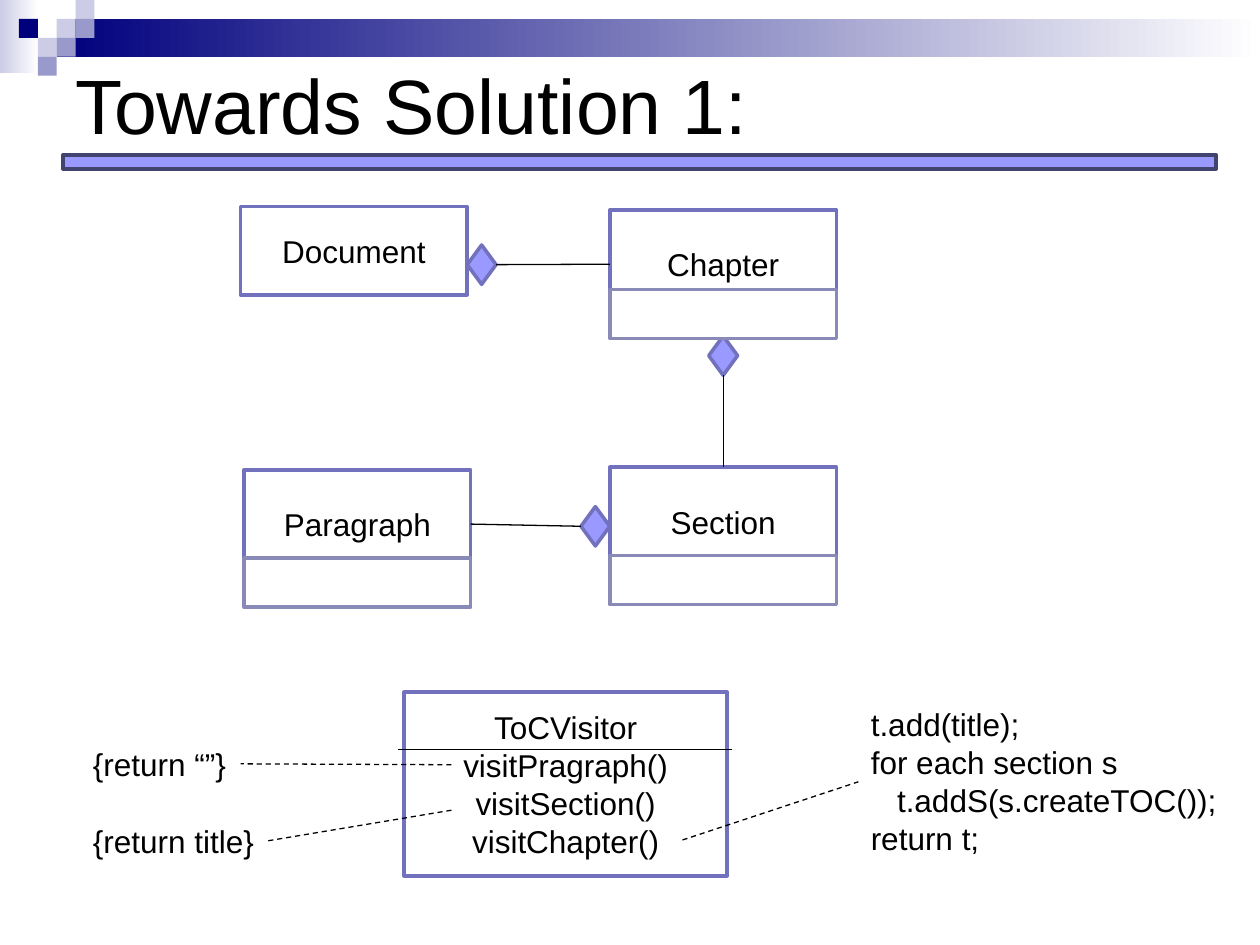
from dataclasses import dataclass

from lxml.etree import SubElement
from pptx import Presentation
from pptx.dml.color import RGBColor
from pptx.enum.dml import MSO_LINE
from pptx.enum.shapes import MSO_CONNECTOR, MSO_SHAPE
from pptx.enum.text import MSO_ANCHOR, MSO_AUTO_SIZE, PP_ALIGN
from pptx.oxml.ns import qn
from pptx.util import Pt

TOP, LEFT, BOTTOM, RIGHT = range(4)


@dataclass(frozen=True)
class Theme:
    font: str = "Arial"
    title_size: float = 44
    text_size: float = 18
    border: float = 2
    thin: float = 0.75
    text: str = "000000"
    white: str = "FFFFFF"
    navy: str = "00007D"
    pale: str = "CCCCE6"
    mid: str = "9999CC"
    accent: str = "9999FF"
    bar_line: str = "434370"
    box_line: str = "7171BD"
    part_line: str = "8A8AB9"


class Deck:
    """Holds the theme and the current slide; lengths are in points."""

    def __init__(self, prs, theme):
        self.theme = theme
        self.slide = prs.slides.add_slide(prs.slide_layouts[5])

    def set_text(self, tf, text, size, align=PP_ALIGN.LEFT):
        tf.text = text
        for p in tf.paragraphs:
            p.alignment = align
            for r in p.runs:
                r.font.name = self.theme.font
                r.font.size = Pt(size)
                r.font.color.rgb = RGBColor.from_string(self.theme.text)

    def title(self, text, x, y, w, h):
        sp = self.slide.shapes.title
        sp.left, sp.top, sp.width, sp.height = map(Pt, (x, y, w, h))
        tf = sp.text_frame
        tf.auto_size = MSO_AUTO_SIZE.NONE
        tf.vertical_anchor = MSO_ANCHOR.MIDDLE
        self.set_text(tf, text, self.theme.title_size)

    def shape(self, x, y, w, h, fill=None, line=None, kind=MSO_SHAPE.RECTANGLE):
        sp = self.slide.shapes.add_shape(kind, *map(Pt, (x, y, w, h)))
        sp.shadow.inherit = False
        if fill:
            sp.fill.solid()
            sp.fill.fore_color.rgb = RGBColor.from_string(fill)
        else:
            sp.fill.background()
        if line:
            sp.line.color.rgb = RGBColor.from_string(line)
            sp.line.width = Pt(self.theme.border)
        else:
            sp.line.fill.background()
        return sp

    def fade(self, x, y, w, h, color):
        """Draw a band that fades to white on its right."""
        sp = self.shape(x, y, w, h)
        sp.fill.gradient()
        sp.fill.gradient_angle = 0
        for stop, c in zip(sp.fill.gradient_stops, (color, self.theme.white)):
            stop.color.rgb = RGBColor.from_string(c)

    def box(self, text, x, y, w, h):
        sp = self.shape(x, y, w, h, line=self.theme.box_line)
        sp.text_frame.vertical_anchor = MSO_ANCHOR.MIDDLE
        self.set_text(sp.text_frame, text, self.theme.text_size, PP_ALIGN.CENTER)
        return sp

    def compartment(self, x, y, w, h):
        return self.shape(x, y, w, h, self.theme.white, self.theme.part_line)

    def diamond(self, x, y):
        return self.shape(x, y, 16.5, 22.5, self.theme.accent,
                          self.theme.box_line, MSO_SHAPE.DIAMOND)

    def note(self, text, x, y, w, h):
        sp = self.slide.shapes.add_textbox(*map(Pt, (x, y, w, h)))
        sp.text_frame.word_wrap = False
        sp.text_frame.auto_size = MSO_AUTO_SIZE.SHAPE_TO_FIT_TEXT
        self.set_text(sp.text_frame, text, self.theme.text_size)
        return sp

    def line(self, start, end, dashed=False):
        """Join two ends, each an (x, y) point or a (shape, side) pair."""
        joined = [not isinstance(e[0], (int, float)) for e in (start, end)]
        points = [(0, 0) if j else e for j, e in zip(joined, (start, end))]
        c = self.slide.shapes.add_connector(
            MSO_CONNECTOR.STRAIGHT, *(Pt(v) for pt in points for v in pt))
        if joined[0]:
            c.begin_connect(*start)
        if joined[1]:
            c.end_connect(*end)
        c.line.color.rgb = RGBColor.from_string(self.theme.text)
        c.line.width = Pt(self.theme.thin)
        if dashed:
            c.line.dash_style = MSO_LINE.DASH
        SubElement(c._element.spPr, qn("a:effectLst"))


def draw_header(deck):
    t = deck.theme
    cell = 10.8
    deck.fade(0, 0, 22, 42, t.pale)
    deck.fade(3 * cell, cell, 720 - 3 * cell, 2 * cell, t.navy)
    for col, row, color in ((3, 1, t.pale), (4, 0, t.pale), (4, 1, t.mid),
                            (2, 2, t.pale), (1, 1, t.navy), (3, 2, t.mid),
                            (2, 3, t.mid)):
        deck.shape(col * cell, row * cell, cell, cell, color)
    deck.shape(36, 88.5, 659, 8, t.accent, t.bar_line)
    deck.title("Towards Solution 1:", 36, 5, 648, 108)


def draw_classes(deck):
    w, h = 129.5, 62
    left, right = 139.5, 348.5
    deck.box("Document", 137.5, 118, w, 50.5)
    chapter = deck.box("Chapter", right, 120, w, h)
    section = deck.box("Section", right, 267, w, h)
    paragraph = deck.box("Paragraph", left, 268.5, w, h)

    document_end = deck.diamond(267, 140)
    section_end = deck.diamond(332, 289.5)
    chapter_end = deck.diamond(405, 192)
    deck.line((document_end, RIGHT), (chapter, LEFT))
    deck.line((chapter_end, BOTTOM), (section, TOP))
    deck.line((paragraph, RIGHT), (section_end, LEFT))

    for x, y in ((right, 317.5), (left, 319), (right, 165.5)):
        deck.compartment(x, y, w, 28)


def draw_visitor(deck):
    empty = deck.note("{return “”}", 46, 422, 91.5, 29)
    title = deck.note("{return title}", 46, 466, 107, 29)
    code = deck.note("t.add(title);\nfor each section s\n"
                     "t.addS(s.createTOC());\nreturn t;", 490.5, 399.5, 214, 94.5)
    loop_body = code.text_frame.paragraphs[2]
    loop_body._p.get_or_add_pPr().set("marL", str(Pt(15)))

    deck.box("ToCVisitor\nvisitPragraph()\nvisitSection()\nvisitChapter()",
             231, 395.5, 184.5, 105)
    deck.line((418.5, 428.5), (227.5, 428.5))
    deck.line((258, 437), (empty, RIGHT), dashed=True)
    deck.line((258, 463), (title, RIGHT), dashed=True)
    deck.line((390, 480), (code, LEFT), dashed=True)


def main():
    prs = Presentation()
    prs.slide_width, prs.slide_height = Pt(720), Pt(540)
    deck = Deck(prs, Theme())
    draw_header(deck)
    draw_classes(deck)
    draw_visitor(deck)
    prs.save("out.pptx")


if __name__ == "__main__":
    main()
